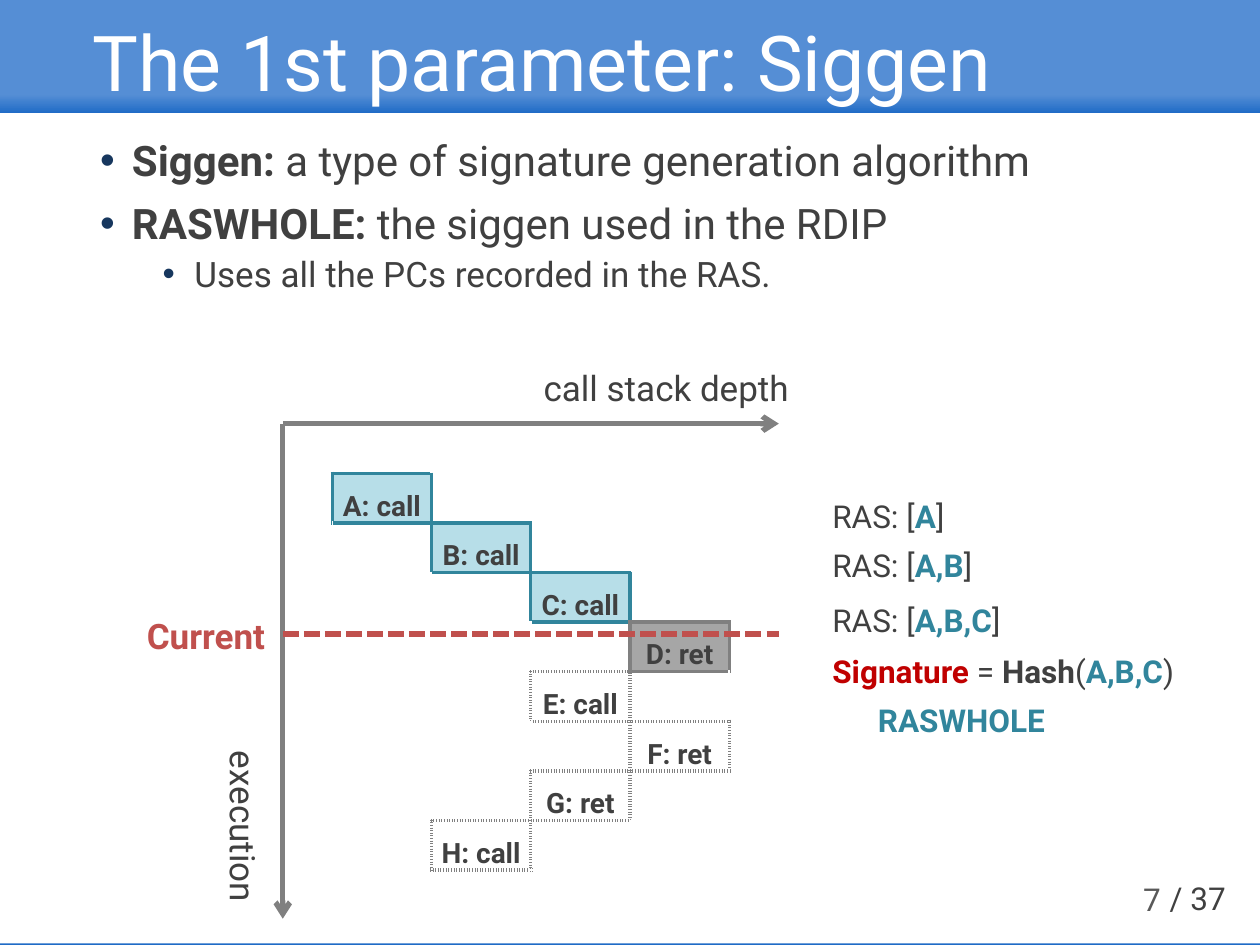
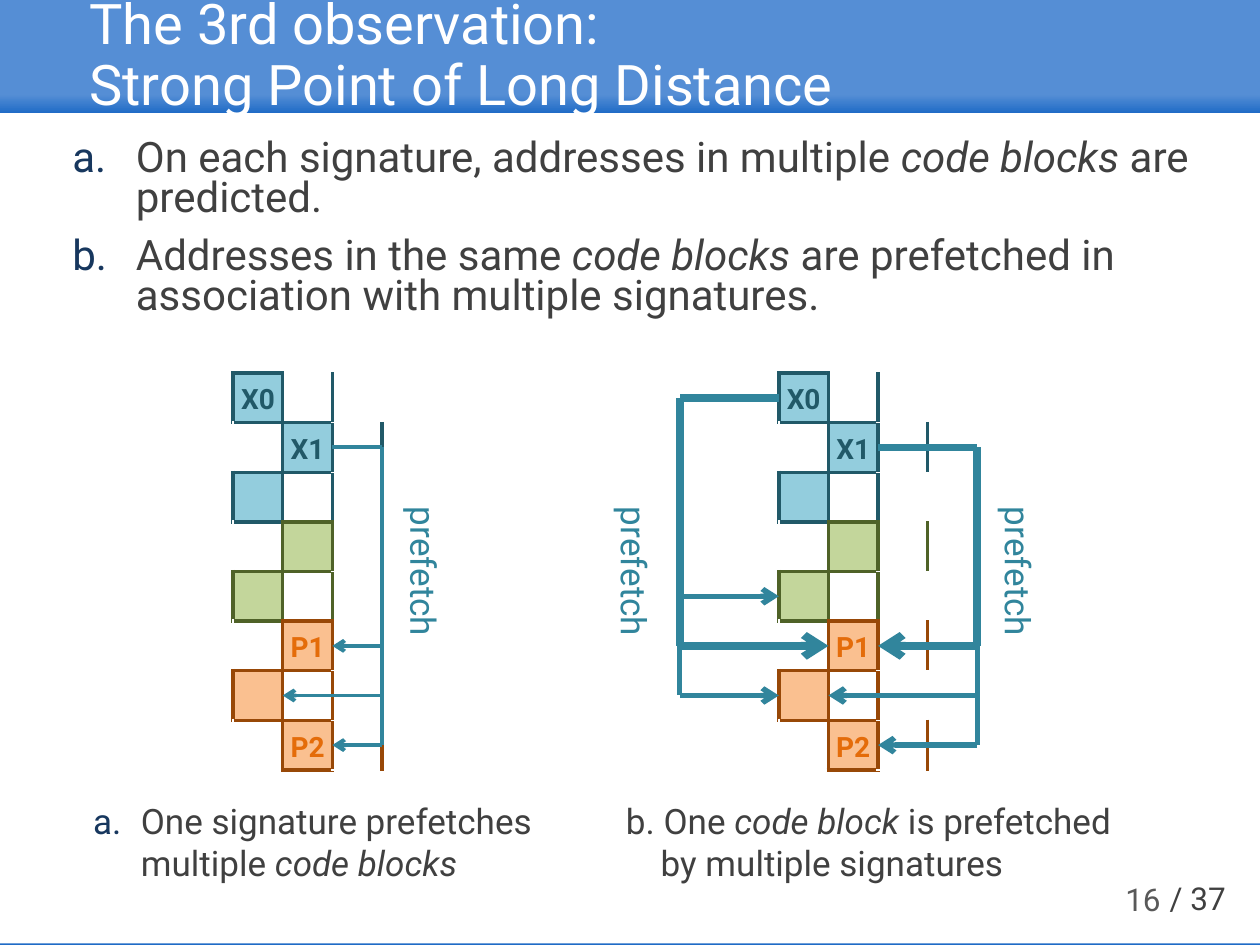
from dataclasses import dataclass
from typing import NamedTuple, Optional

from lxml.etree import SubElement
from pptx import Presentation
from pptx.dml.color import RGBColor
from pptx.enum.dml import MSO_LINE
from pptx.enum.shapes import MSO_CONNECTOR, MSO_SHAPE
from pptx.enum.text import MSO_ANCHOR, MSO_AUTO_SIZE, PP_ALIGN
from pptx.oxml.ns import qn
from pptx.util import Inches, Pt

EMU_PER_PX = 7200
FONT = "Roboto"
STEP = 50
COLORS = {
    "band": "558ED5", "band_edge": "1F6BC6", "white": "FFFFFF", "text": "404040",
    "page": "595959", "bullet": "17375E", "axis": "808080", "current": "C0504D",
    "signature": "C00000", "teal": "31859C", "call": "B7DEE8", "return": "A6A6A6",
    "blue": "93CDDD", "blue_edge": "215968", "green": "C3D69B", "green_edge": "4F6228",
    "orange": "FAC090", "orange_edge": "984807", "orange_text": "E46C0A",
}


class Box(NamedTuple):
    left: int
    top: int
    width: int
    height: int


class Span(NamedTuple):
    text: str
    color: str = "text"
    bold: bool = False
    italic: bool = False


@dataclass
class Para:
    spans: list[Span]
    size: int = 20
    align: PP_ALIGN = PP_ALIGN.LEFT
    left: int = 0
    hanging: int = 0
    spacing: float = 1.0
    before: int = 0
    bullet: str = ""
    level: int = 0


@dataclass
class Label:
    box: Box
    paragraphs: list[Para]
    margins: tuple[int, int] = (13, 6)
    anchor: MSO_ANCHOR = MSO_ANCHOR.TOP
    wrap: bool = False
    rotation: int = 0
    fill: Optional[str] = None


class Link(NamedTuple):
    start: tuple[int, int]
    end: tuple[int, int]
    width: float
    arrow: bool = True
    color: str = "teal"
    dash: Optional[MSO_LINE] = None


class Block(NamedTuple):
    column: int
    row: int
    text: str
    fill: str
    edge: str
    color: str = "text"
    dash: str = "solid"


def px(value: int) -> int:
    return value * EMU_PER_PX


def rgb(name: str) -> RGBColor:
    return RGBColor.from_string(COLORS[name])


def assign(target, values: dict) -> None:
    for name, value in values.items():
        setattr(target, name, value)


def add_bullet(properties, bullet: str) -> None:
    color = SubElement(properties, qn("a:buClr"))
    SubElement(color, qn("a:srgbClr"), val=COLORS["bullet"])
    if bullet == "a.":
        SubElement(properties, qn("a:buFont"), typeface=FONT)
        SubElement(properties, qn("a:buAutoNum"), type="alphaLcPeriod")
    else:
        SubElement(properties, qn("a:buFont"), typeface="Arial")
        SubElement(properties, qn("a:buChar"), char=bullet)


def write(frame, paragraphs: list[Para]) -> None:
    for index, para in enumerate(paragraphs):
        paragraph = frame.add_paragraph() if index else frame.paragraphs[0]
        assign(paragraph, {"alignment": para.align, "level": para.level,
                           "line_spacing": para.spacing, "space_before": Pt(para.before)})
        properties = paragraph._p.get_or_add_pPr()
        properties.set("marL", str(px(para.left)))
        properties.set("indent", str(-px(para.hanging)))
        if para.bullet:
            add_bullet(properties, para.bullet)
        for span in para.spans:
            for line_index, line in enumerate(span.text.split("\n")):
                if line_index:
                    paragraph.add_line_break()
                run = paragraph.add_run()
                run.text = line
                assign(run.font, {"name": FONT, "size": Pt(para.size),
                                  "bold": span.bold, "italic": span.italic})
                run.font.color.rgb = rgb(span.color)


def fill_label(shape, label: Label) -> None:
    horizontal, vertical = map(px, label.margins)
    assign(shape, {name: px(value) for name, value in label.box._asdict().items()})
    shape.rotation = label.rotation
    assign(shape.text_frame, {
        "auto_size": MSO_AUTO_SIZE.NONE, "word_wrap": label.wrap,
        "vertical_anchor": label.anchor, "margin_left": horizontal,
        "margin_right": horizontal, "margin_top": vertical, "margin_bottom": vertical})
    if label.fill:
        shape.fill.solid()
        shape.fill.fore_color.rgb = rgb(label.fill)
    write(shape.text_frame, label.paragraphs)


def add_label(slide, label: Label):
    shape = slide.shapes.add_textbox(*map(px, label.box))
    fill_label(shape, label)
    return shape


def add_link(slide, link: Link) -> None:
    connector = slide.shapes.add_connector(
        MSO_CONNECTOR.STRAIGHT, *map(px, (*link.start, *link.end)))
    connector.line.color.rgb = rgb(link.color)
    connector.line.width = Pt(link.width)
    if link.dash:
        connector.line.dash_style = link.dash
    properties = connector._element.spPr
    if link.arrow:
        SubElement(properties.find(qn("a:ln")), qn("a:tailEnd"), type="arrow")
    SubElement(properties, qn("a:effectLst"))


def add_border(cell, side: str, color: str, width: float, dash: str) -> None:
    line = SubElement(cell._tc.get_or_add_tcPr(), qn(f"a:ln{side}"), w=str(Pt(width)))
    fill = SubElement(line, qn("a:solidFill"))
    SubElement(fill, qn("a:srgbClr"), val=COLORS[color])
    SubElement(line, qn("a:prstDash"), val=dash)


def add_blocks(slide, left: int, top: int, column_width: int, blocks: list[Block],
               anchor: MSO_ANCHOR, plain_edge: Optional[str] = None) -> None:
    rows, columns = 8, 4
    table = slide.shapes.add_table(rows, columns, px(left), px(top),
                                   px(columns * column_width), px(rows * STEP)).table
    table.first_row = table.horz_banding = False
    placed = {(block.column, block.row): block for block in blocks}
    sides = {"L": (-1, 0), "R": (1, 0), "T": (0, -1), "B": (0, 1)}
    for row in range(rows):
        for column in range(columns):
            cell = table.cell(row, column)
            block = placed.get((column, row))
            assign(cell, {"margin_left": px(5), "margin_right": px(5), "margin_top": px(5),
                          "margin_bottom": 0, "vertical_anchor": anchor})
            for side, (across, down) in sides.items():
                owner = block or placed.get((column + across, row + down))
                if owner:
                    add_border(cell, side, owner.edge, 2.25, owner.dash)
                elif plain_edge:
                    add_border(cell, side, plain_edge, 1, "solid")
            cell.fill.solid()
            cell.fill.fore_color.rgb = rgb(block.fill if block else "white")
            if block and block.text:
                write(cell.text_frame, [Para([Span(block.text, block.color, True)],
                                             16, PP_ALIGN.CENTER)])


def decorate_layout(presentation, layout, slide) -> None:
    fill = presentation.slide_master.background.fill
    fill.gradient()
    fill.gradient_angle = 270
    for stop, color, position in zip(fill.gradient_stops, ("band", "band_edge"), (0.1, 0.12)):
        stop.color.rgb = rgb(color)
        stop.position = position
    panel = slide.shapes.add_shape(MSO_SHAPE.RECTANGLE, *map(px, (0, 114, 1270, 837)))
    panel.shadow.inherit = False
    panel.fill.solid()
    panel.fill.fore_color.rgb = rgb("white")
    panel.line.fill.background()
    total = add_label(slide, Label(Box(1166, 880, 104, 51), [Para([Span("/ 37")], 18)]))
    for position, shape in enumerate((panel, total), 2):
        layout.shapes.element.insert(position, shape._element)


def fill_slide(slide, title: str, size: int, title_box: Box, body_box: Box,
               points: list[Para], page: str) -> None:
    fill_label(slide.shapes.title, Label(
        title_box, [Para([Span(title, "white")], size, spacing=0.9)], (5, 5),
        MSO_ANCHOR.MIDDLE, True))
    fill_label(slide.placeholders[1], Label(body_box, points, wrap=True))
    add_label(slide, Label(Box(897, 881, 286, 51),
                           [Para([Span(page, "page")], 18, PP_ALIGN.RIGHT)],
                           anchor=MSO_ANCHOR.MIDDLE, wrap=True))


def build_siggen(slide) -> None:
    first = {"size": 24, "left": 32, "hanging": 32, "spacing": 0.9, "bullet": "•"}
    fill_slide(slide, "The 1st parameter: Siggen", 44, Box(88, 19, 1095, 97),
               Box(88, 135, 1161, 724), [
        Para([Span("Siggen:", bold=True),
              Span(" a type of signature generation algorithm")], **first),
        Para([Span("RASWHOLE: ", bold=True), Span("the siggen used in the RDIP")],
             before=10, **first),
        Para([Span("Uses all the PCs recorded in the RAS.")], 20, left=95, hanging=32,
             spacing=0.9, before=5, bullet="•", level=1)], "7")

    left, top = 285, 427
    add_link(slide, Link((left, top), (left, 926), 3, color="axis"))
    add_link(slide, Link((left, top), (left + 10 * STEP, top), 3, color="axis"))
    add_label(slide, Label(Box(150, 801, 175, 69), [Para([Span("execution")])],
                           (9, 5), rotation=90))
    add_label(slide, Label(Box(535, 363, 300, 56), [Para([Span("call stack depth")])],
                           wrap=True))
    add_label(slide, Label(Box(135, 613, 152, 56),
                           [Para([Span("Current", "current", True)])]))

    calls = [Block(index, index, f"{name}: call", "call", "teal")
             for index, name in enumerate("ABC")]
    later = [Block(column, row, text, "white", "axis", dash="sysDot")
             for row, (column, text) in enumerate(
                 [(2, "E: call"), (3, "F: ret"), (2, "G: ret"), (1, "H: call")], 4)]
    add_blocks(slide, left + STEP, top + STEP, 2 * STEP,
               [*calls, Block(3, 3, "D: ret", "return", "axis"), *later],
               MSO_ANCHOR.BOTTOM, "white")
    add_link(slide, Link((left, 639), (left + 10 * STEP, 639), 3, False, "current",
                         MSO_LINE.SQUARE_DOT))

    add_label(slide, Label(Box(834, 626, 387, 100), [Para([
        Span("Signature", "signature", True), Span(" = "), Span("Hash", bold=True),
        Span("("), Span("A,B,C", "teal", True), Span(")")], 18)],
        (5, 5), MSO_ANCHOR.MIDDLE, fill="white"))
    for stack_top, stack in ((489, "A"), (538, "A,B"), (594, "A,B,C")):
        add_label(slide, Label(Box(834, stack_top, 338, 62), [Para([
            Span("RAS: ["), Span(stack, "teal", True), Span("]")], 18)],
            (5, 5), MSO_ANCHOR.MIDDLE))
    add_label(slide, Label(Box(872, 701, 202, 51),
                           [Para([Span("RASWHOLE", "teal", True)], 18)]))


def build_long_distance(slide) -> None:
    point = {"size": 24, "left": 64, "hanging": 64, "spacing": 0.8, "bullet": "a."}
    fill_slide(slide, "The 3rd observation: \nStrong Point of Long Distance", 32,
               Box(85, 9, 1095, 97), Box(60, 135, 1205, 724), [
        Para([Span("On each signature, addresses in multiple "),
              Span("code blocks", italic=True), Span(" are predicted.")], **point),
        Para([Span("Addresses in the same "), Span("code blocks ", italic=True),
              Span("are prefetched in association with multiple signatures.")],
             before=10, **point)], "16")

    hues = ["blue"] * 3 + ["green"] * 2 + ["orange"] * 3
    texts = ["X0", "X1", "", "", "", "P1", "", "P2"]
    blocks = [Block(row % 2, row, text, hue, f"{hue}_edge",
                    "orange_text" if hue == "orange" else "blue_edge")
              for row, (hue, text) in enumerate(zip(hues, texts))]
    top, left_table, right_table = 376, 235, 785
    for left in (left_table, right_table):
        add_blocks(slide, left, top, STEP, blocks, MSO_ANCHOR.MIDDLE)

    middle = [top + STEP // 2 + row * STEP for row in range(8)]
    inner, outer = left_table + STEP, left_table + 2 * STEP
    bus = left_table + 3 * STEP
    left_bus, right_bus = right_table - 2 * STEP, right_table + 4 * STEP
    center, edge = right_table + STEP, right_table + 2 * STEP
    links = [
        Link((bus, middle[1]), (bus, middle[7]), 2.25, False),
        Link((bus, middle[1]), (outer, middle[1]), 2.25, False),
        Link((bus, middle[5]), (outer, middle[5]), 2.25),
        Link((bus, middle[6]), (inner, middle[6]), 2.25),
        Link((bus, middle[7]), (outer, middle[7]), 2.25),
        Link((right_bus, middle[1]), (right_bus, middle[5]), 4.5, False),
        Link((right_bus, middle[1]), (edge, middle[1]), 4.5, False),
        Link((right_bus, middle[5]), (edge, middle[5]), 4.5),
        Link((right_bus, middle[5]), (right_bus, middle[7]), 3, False),
        Link((right_bus, middle[6]), (center, middle[6]), 3),
        Link((right_bus, middle[7]), (edge, middle[7]), 3),
        Link((right_table, middle[0]), (left_bus, middle[0]), 4.5, False),
        Link((left_bus, middle[0]), (left_bus, middle[5]), 4.5, False),
        Link((left_bus, middle[5]), (center, middle[5]), 4.5),
        Link((left_bus, middle[5]), (left_bus, middle[6]), 3, False),
        Link((left_bus, middle[4]), (right_table, middle[4]), 3),
        Link((left_bus, middle[6]), (right_table, middle[6]), 3),
    ]
    for link in links:
        add_link(slide, link)
    for left in (338, 550, 937):
        add_label(slide, Label(Box(left, 549, 163, 69),
                               [Para([Span("prefetch", "teal")])], (9, 5), rotation=90))

    add_label(slide, Label(Box(85, 801, 462, 100), [Para([
        Span("One signature prefetches \nmultiple "), Span("code blocks", italic=True)],
        left=48, hanging=48, bullet="a.")], (9, 5)))
    add_label(slide, Label(Box(622, 801, 622, 100), [
        Para([Span("b. One "), Span("code block", italic=True), Span(" is prefetched")]),
        Para([Span("by multiple signatures")], left=35)], (9, 5)))


def main() -> None:
    presentation = Presentation()
    assign(presentation, {"slide_width": Inches(10), "slide_height": Inches(7.5)})
    layout = presentation.slide_layouts[1]
    slides = [presentation.slides.add_slide(layout) for _ in range(2)]
    decorate_layout(presentation, layout, slides[0])
    build_siggen(slides[0])
    build_long_distance(slides[1])
    presentation.save("out.pptx")


if __name__ == "__main__":
    main()
